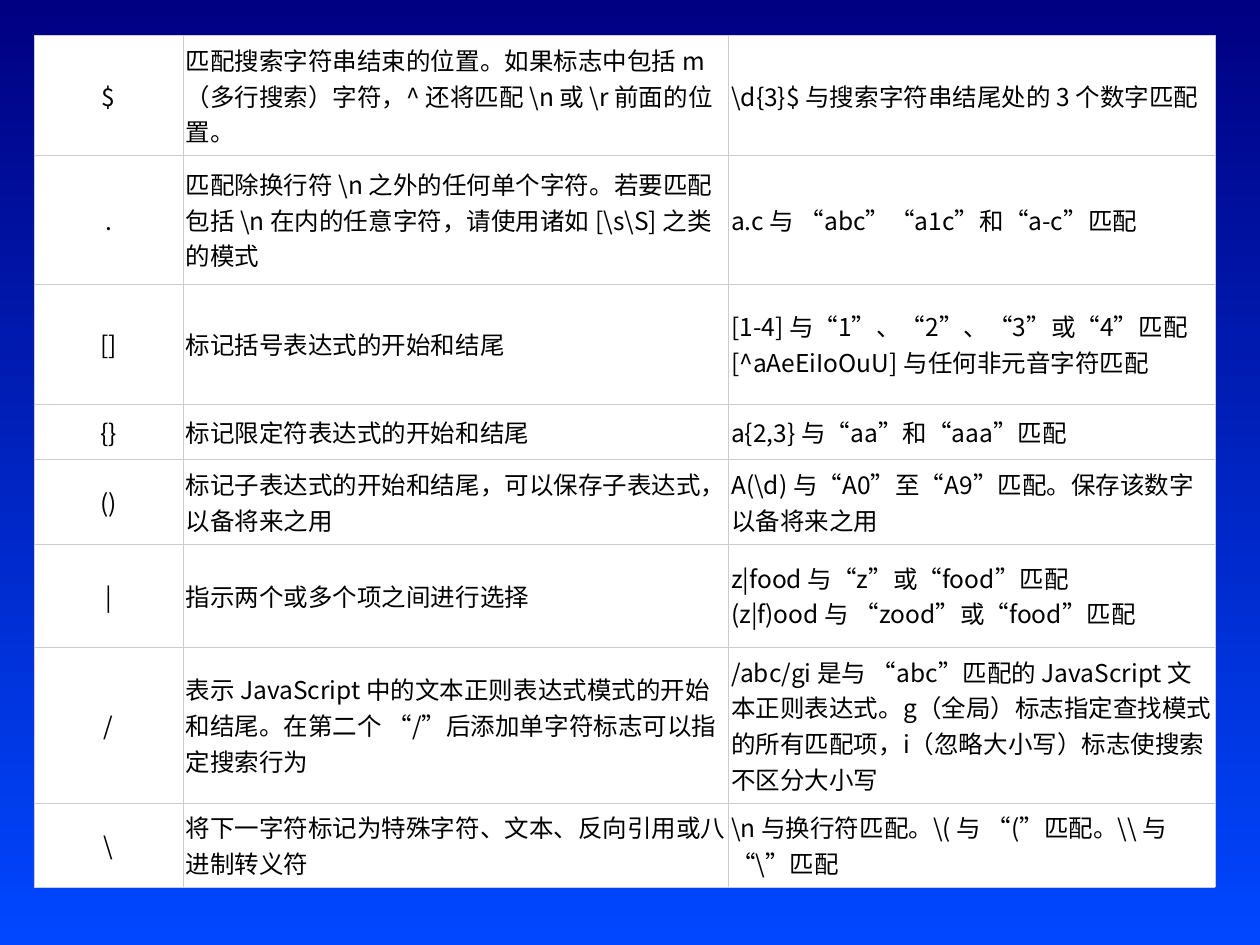
from lxml import etree
from pptx import Presentation
from pptx.dml.color import RGBColor
from pptx.enum import text
from pptx.oxml import ns
from pptx.util import Cm, Pt

FONT = "Noto Sans CJK SC"
COLUMN_WIDTHS = [3, 11, 9.8]
ROW_HEIGHTS = [2.08, 2.59, 2.08, 1.12, 1.6, 2.08, 3.07, 1.6]

# Symbol, meaning, example; \v is a line break within a paragraph
SYMBOLS = [
    ("$",
     "匹配搜索字符串结束的位置。如果标志中包括 m（多行搜索）字符，^ 还将匹配 \\n 或 \\r 前面的位置。",
     "\\d{3}$ 与搜索字符串结尾处的 3 个数字匹配"),
    (".",
     "匹配除换行符 \\n 之外的任何单个字符。若要匹配包括 \\n 在内的任意字符，请使用诸如 [\\s\\S] 之类的模式",
     "a.c 与 “abc”“a1c”和“a-c”匹配"),
    ("[]",
     "标记括号表达式的开始和结尾",
     "[1-4] 与“1”、“2”、“3”或“4”匹配\v[^aAeEiIoOuU] 与任何非元音字符匹配"),
    ("{}",
     "标记限定符表达式的开始和结尾",
     "a{2,3} 与“aa”和“aaa”匹配"),
    ("()",
     "标记子表达式的开始和结尾，可以保存子表达式，以备将来之用",
     "A(\\d) 与“A0”至“A9”匹配。保存该数字以备将来之用"),
    ("|",
     "指示两个或多个项之间进行选择",
     "z|food 与“z”或“food”匹配\v(z|f)ood 与 “zood”或“food”匹配"),
    ("/",
     "表示 JavaScript 中的文本正则表达式模式的开始和结尾。在第二个 “/”后添加单字符标志可以指定搜索行为",
     "/abc/gi 是与 “abc”匹配的 JavaScript 文本正则表达式。g（全局）标志指定查找模式的所有匹配项，"
     "i（忽略大小写）标志使搜索不区分大小写"),
    ("\\",
     "将下一字符标记为特殊字符、文本、反向引用或八进制转义符",
     "\\n 与换行符匹配。\\( 与 “(”匹配。\\\\ 与 “\\”匹配"),
]


def color(hex_string):
    return RGBColor.from_string(hex_string)


def paint_background(slide, top, bottom):
    fill = slide.background.fill
    fill.gradient()
    fill.gradient_angle = 270
    for stop, shade in zip(fill.gradient_stops, (top, bottom)):
        stop.color.rgb = color(shade)


def add_borders(cell, shade, width):
    properties = cell._tc.get_or_add_tcPr()
    for side in ("lnL", "lnR", "lnT", "lnB"):
        line = etree.SubElement(properties, ns.qn(f"a:{side}"), w=str(Pt(width)))
        fill = etree.SubElement(line, ns.qn("a:solidFill"))
        etree.SubElement(fill, ns.qn("a:srgbClr"), val=shade)


def format_run(run):
    run.font.size = Pt(14)
    run.font.name = FONT
    run.font.color.rgb = color("000000")
    latin = run._r.rPr.find(ns.qn("a:latin"))
    east_asian = etree.Element(ns.qn("a:ea"), typeface=FONT)
    latin.addnext(east_asian)


def fill_cell(cell, content, alignment):
    cell.margin_left = cell.margin_right = Cm(0.05)
    cell.margin_top = cell.margin_bottom = Cm(0.13)
    cell.vertical_anchor = text.MSO_ANCHOR.MIDDLE
    add_borders(cell, "CCCCCC", 0.28)
    cell.fill.solid()
    cell.fill.fore_color.rgb = color("FFFFFF")
    paragraph = cell.text_frame.paragraphs[0]
    paragraph.text = content
    paragraph.alignment = alignment
    for run in paragraph.runs:
        format_run(run)


def add_symbol_table(slide):
    table = slide.shapes.add_table(
        len(SYMBOLS), len(COLUMN_WIDTHS), Cm(0.69), Cm(0.71),
        Cm(sum(COLUMN_WIDTHS)), Cm(sum(ROW_HEIGHTS))).table
    table.first_row = table.horz_banding = False
    for column, width in zip(table.columns, COLUMN_WIDTHS):
        column.width = Cm(width)
    alignments = (text.PP_ALIGN.CENTER, text.PP_ALIGN.LEFT, text.PP_ALIGN.LEFT)
    for row, height, contents in zip(table.rows, ROW_HEIGHTS, SYMBOLS):
        row.height = Cm(height)
        for cell, content, alignment in zip(row.cells, contents, alignments):
            fill_cell(cell, content, alignment)


def main():
    presentation = Presentation()
    presentation.slide_width = Cm(25.4)
    presentation.slide_height = Cm(19.05)
    slide = presentation.slides.add_slide(presentation.slide_layouts[6])
    paint_background(slide, "000082", "0047FF")
    add_symbol_table(slide)
    presentation.save("out.pptx")


if __name__ == "__main__":
    main()
